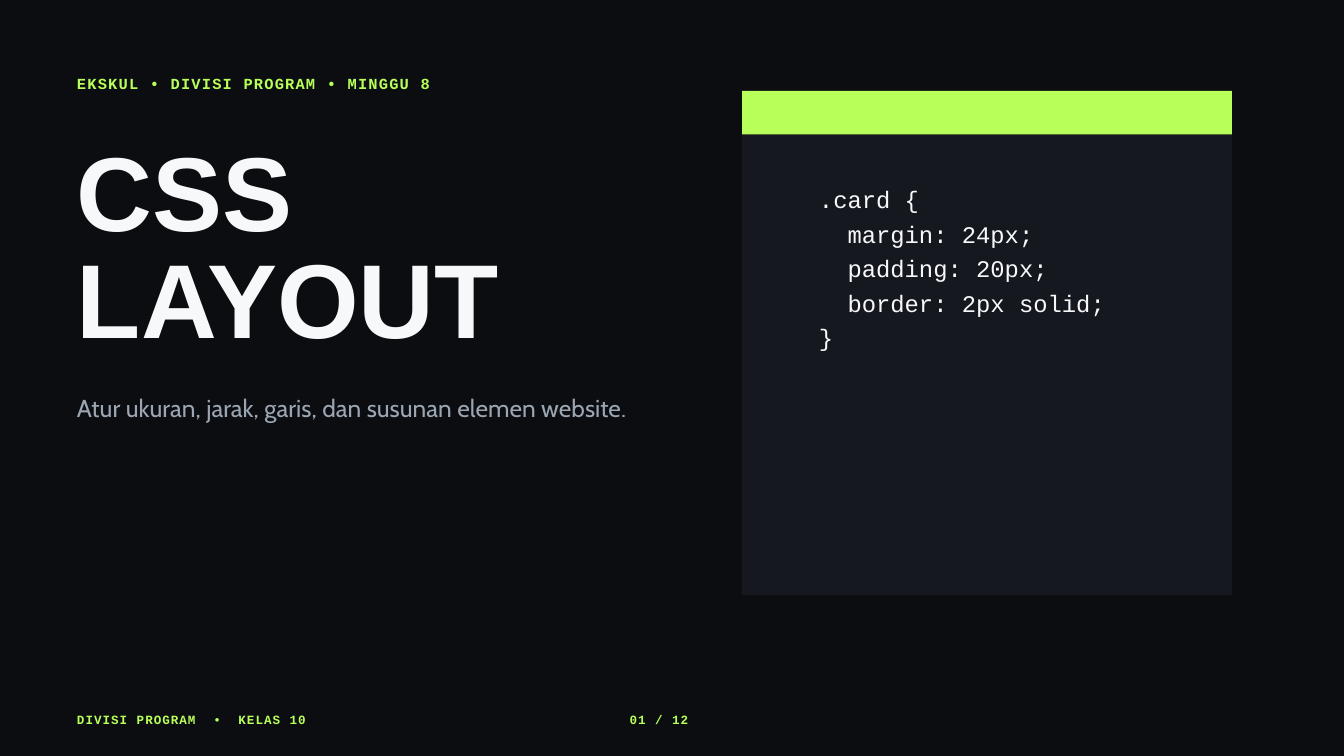
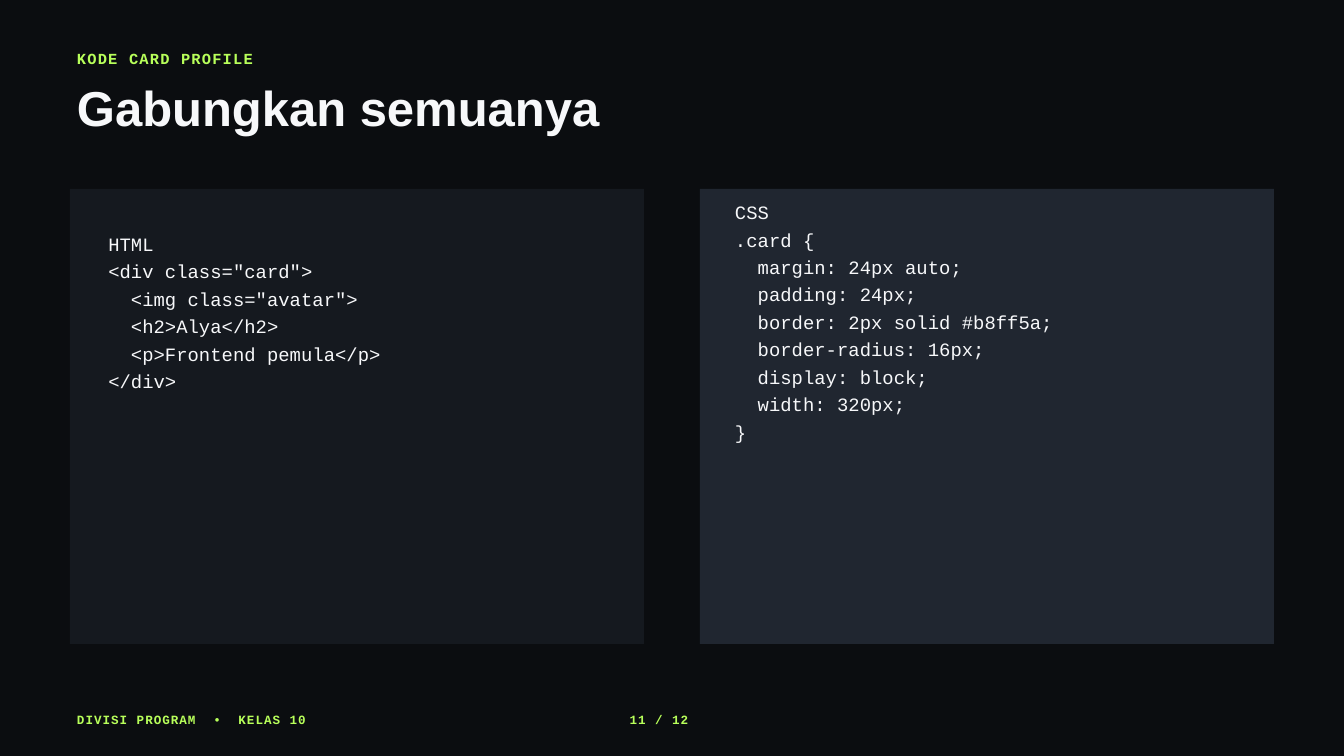
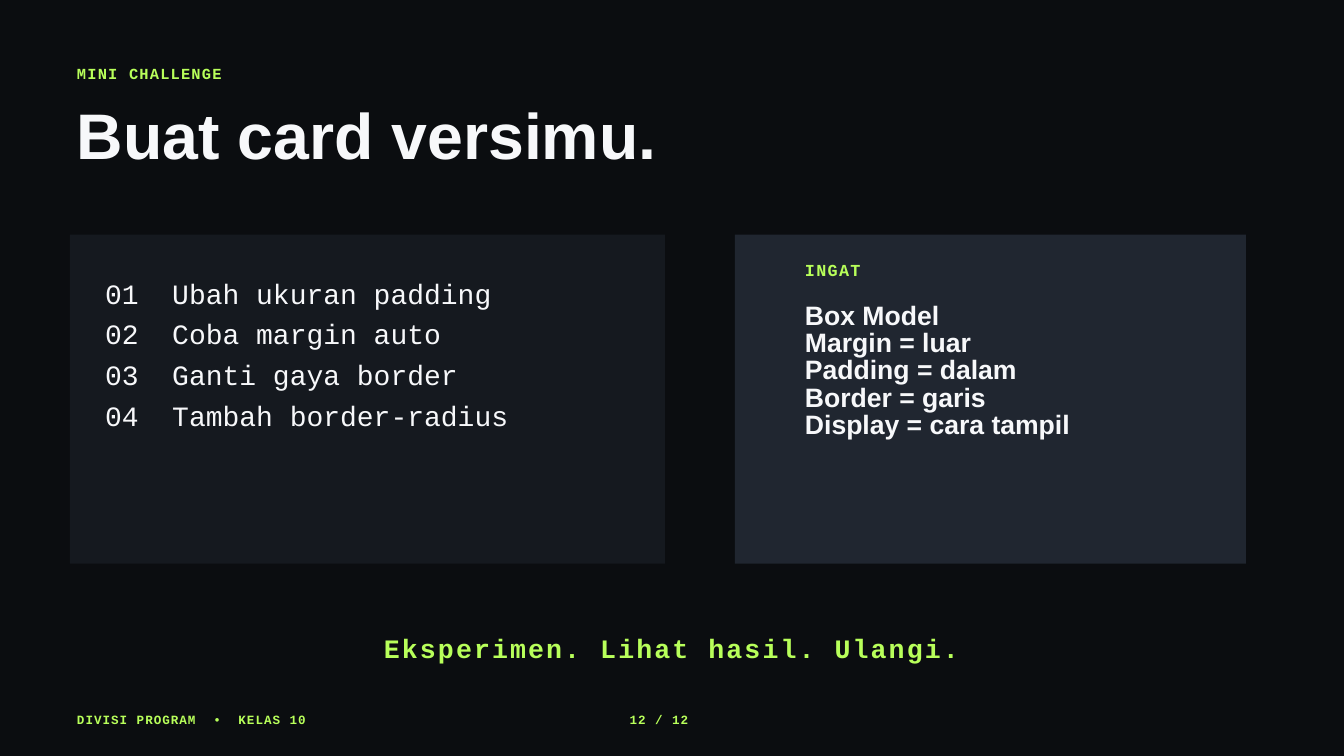
from lxml.etree import SubElement
from pptx import Presentation
from pptx.dml.color import RGBColor
from pptx.enum.shapes import MSO_SHAPE as Shape
from pptx.enum.text import MSO_ANCHOR as Anchor, MSO_AUTO_SIZE as AutoSize, PP_ALIGN as Align
from pptx.oxml.ns import qn
from pptx.util import Pt

# Palette and fonts
INK = RGBColor(0x0B, 0x0D, 0x10)
PANEL = RGBColor(0x15, 0x19, 0x1F)
PANEL_LIGHT = RGBColor(0x20, 0x26, 0x30)
LIME = RGBColor(0xB8, 0xFF, 0x5A)
WHITE = RGBColor(0xF7, 0xF8, 0xFA)
GREY = RGBColor(0x9B, 0xA6, 0xB2)
SANS, BODY, MONO = "Arial", "Cabin", "Courier New"

# Shared grid, in points
MARGIN = 82.5
PANEL_LEFT = 75
FOOTER_TABS = (146, 173, 592)
PAGE_COUNT = 12

# Template layouts
COVER, TWO_LISTS, TITLE_ONLY = 0, 3, 5


def write(frame, text, font=MONO, size=20.25, color=WHITE, bold=False, leading=29.4,
          spacing=0, align=Align.LEFT, hang=None, tabs=()):
    """Fill a text frame, one paragraph per line; hang marks an unbulleted list."""
    frame.word_wrap = True
    frame.auto_size = AutoSize.NONE
    frame.vertical_anchor = Anchor.TOP
    frame.margin_left = frame.margin_top = frame.margin_right = frame.margin_bottom = 0
    for number, line in enumerate(text.split("\n")):
        para = frame.add_paragraph() if number else frame.paragraphs[0]
        para.alignment = align
        para.line_spacing = Pt(leading)
        para.space_before = para.space_after = Pt(0)
        props = para._p.get_or_add_pPr()
        if hang is not None:
            props.set("marL", str(Pt(hang)))
            props.set("indent", str(-Pt(hang)))
            SubElement(props, qn("a:buNone"))
        if tabs:
            stops = SubElement(props, qn("a:tabLst"))
            for stop in tabs:
                SubElement(stops, qn("a:tab"), pos=str(Pt(stop)), algn="l")
        span = para.add_run()
        span.text = line
        span.font.name = font
        span.font.size = Pt(size)
        span.font.bold = bold
        span.font.color.rgb = color
        if spacing:
            span._r.get_or_add_rPr().set("spc", str(round(spacing * 100)))


class Builder:
    """Holds the deck style and the slide being built."""

    def __init__(self):
        self.deck = Presentation()
        self.deck.slide_width, self.deck.slide_height = Pt(1440), Pt(810)
        fill = self.deck.slide_master.background.fill
        fill.solid()
        fill.fore_color.rgb = INK

    def start(self, layout):
        self.page = self.deck.slides.add_slide(self.deck.slide_layouts[layout])

    def panel(self, left, top, width, height, color=PANEL):
        box = self.page.shapes.add_shape(
            Shape.RECTANGLE, Pt(left), Pt(top), Pt(width), Pt(height))
        box.shadow.inherit = False
        box.fill.solid()
        box.fill.fore_color.rgb = color
        box.line.fill.background()

    def text(self, text, left, top, width, height, **style):
        box = self.page.shapes.add_textbox(Pt(left), Pt(top), Pt(width), Pt(height))
        write(box.text_frame, text, **style)

    def placeholder(self, index, text, left, top, width, height, **style):
        box = self.page.placeholders[index]
        box.left, box.top, box.width, box.height = map(Pt, (left, top, width, height))
        box.element.getparent().append(box.element)  # bring in front of the panels
        write(box.text_frame, text, **style)

    def title(self, text, top, width, height, size):
        self.placeholder(0, text, MARGIN, top, width, height, font=SANS, size=size,
                         bold=True, leading=size * 1.02)

    def eyebrow(self, text, top, left=MARGIN, size=16.5, spacing=1.3):
        self.text(text, left, top, 450, size * 1.4, size=size, color=LIME, bold=True,
                  leading=size * 1.4, spacing=spacing)

    def footer(self, number):
        self.text(f"DIVISI PROGRAM\t•\tKELAS 10\t{number:02} / {PAGE_COUNT}",
                  MARGIN, 759.75, 1275, 18, size=13.5, color=LIME, bold=True,
                  leading=18.9, spacing=1.1, tabs=FOOTER_TABS)


CARD_RULE = """.card {
  margin: 24px;
  padding: 20px;
  border: 2px solid;
}"""

PROFILE_HTML = """HTML
<div class="card">
  <img class="avatar">
  <h2>Alya</h2>
  <p>Frontend pemula</p>
</div>"""

PROFILE_CSS = """CSS
.card {
  margin: 24px auto;
  padding: 24px;
  border: 2px solid #b8ff5a;
  border-radius: 16px;
  display: block;
  width: 320px;
}"""

STEPS = ("Ubah ukuran padding", "Coba margin auto", "Ganti gaya border",
         "Tambah border-radius")

REMINDERS = """Box Model
Margin = luar
Padding = dalam
Border = garis
Display = cara tampil"""


def build_cover(show):
    show.start(COVER)
    # Code window
    show.panel(795, 97.5, 525, 540)
    show.panel(795, 97.5, 525, 46.5, LIME)
    # Headline
    show.eyebrow("EKSKUL • DIVISI PROGRAM • MINGGU 8", 75.75)
    show.title("CSS\nLAYOUT", 156, 735, 251, 112.5)
    show.placeholder(1, "Atur ukuran, jarak, garis, dan susunan elemen website.",
                     MARGIN, 416, 637.5, 72, font=BODY, size=26.25, color=GREY,
                     leading=36.8)
    show.text(CARD_RULE, 877.5, 191.5, 405, 181.5, size=25.5, leading=37)
    show.footer(1)


def build_profile_code(show):
    show.start(TITLE_ONLY)
    show.eyebrow("KODE CARD PROFILE", 49.5)
    show.title("Gabungkan semuanya", 93, 825, 63, 52.5)
    # HTML and CSS side by side
    top, width, gap, height = 202.5, 615, 60, 487.5
    show.panel(PANEL_LEFT, top, width, height)
    show.text(PROFILE_HTML, 116, 244, 525, 173.5)
    show.panel(PANEL_LEFT + width + gap, top, width, height, PANEL_LIGHT)
    show.text(PROFILE_CSS, 787.5, 210, 525, 261.5)
    show.footer(11)


def build_challenge(show):
    show.start(TWO_LISTS)
    show.eyebrow("MINI CHALLENGE", 65)
    show.title("Buat card versimu.", 114.5, 900, 83.5, 69)
    # Numbered steps
    top, height = 251.5, 352.5
    show.panel(PANEL_LEFT, top, 637.5, height)
    steps = "\n".join(f"{number:02}\t{step}" for number, step in enumerate(STEPS, 1))
    show.placeholder(1, steps, 112.5, 288.5, 577.5, 170.5, size=30, leading=43.5, hang=72)
    # Reminder
    show.panel(787.5, top, 547.5, height, PANEL_LIGHT)
    show.eyebrow("INGAT", 275, left=862.5, size=18, spacing=1.4)
    show.placeholder(2, REMINDERS, 862.5, 325.5, 427.5, 148.5, font=SANS, size=28.5,
                     bold=True, leading=29.1, hang=0)
    # Closing line
    show.text("Eksperimen. Lihat hasil. Ulangi.", 247.5, 671, 945, 38, size=28.5,
              color=LIME, bold=True, leading=39.9, spacing=2.3, align=Align.CENTER)
    show.footer(12)


def main():
    show = Builder()
    build_cover(show)
    build_profile_code(show)
    build_challenge(show)
    show.deck.save("out.pptx")


if __name__ == "__main__":
    main()
